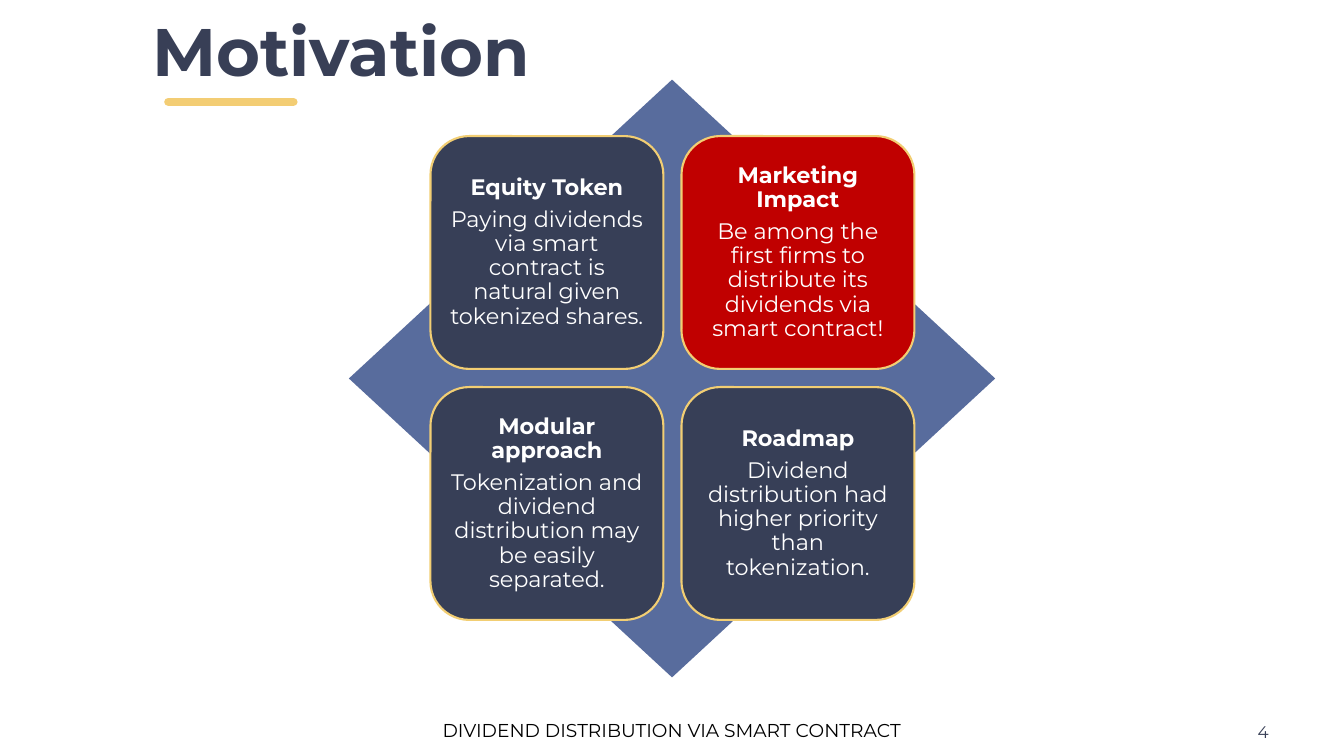
from lxml.etree import SubElement
from pptx import Presentation
from pptx.dml.color import RGBColor
from pptx.enum.shapes import MSO_CONNECTOR as Connector, MSO_SHAPE as Shape
from pptx.enum.text import MSO_ANCHOR as Anchor, MSO_AUTO_SIZE as AutoSize, PP_ALIGN as Align
from pptx.oxml.ns import qn
from pptx.util import Inches, Pt

NAVY = RGBColor(0x37, 0x3F, 0x57)
INK = RGBColor(0x38, 0x3F, 0x56)
BLUE = RGBColor(0x58, 0x6C, 0x9D)
RED = RGBColor(0xC0, 0x00, 0x00)
GOLD = RGBColor(0xF2, 0xCE, 0x73)
SAND = RGBColor(0xF3, 0xCD, 0x74)
WHITE = RGBColor(0xFF, 0xFF, 0xFF)
BLACK = RGBColor(0x00, 0x00, 0x00)

CARDS = [
    ("Equity Token", "Paying dividends via smart contract is natural given tokenized shares.", NAVY),
    ("Marketing Impact", "Be among the first firms to distribute its dividends via smart contract!", RED),
    ("Modular approach", "Tokenization and dividend distribution may be easily separated.", NAVY),
    ("Roadmap", "Dividend distribution had higher priority than tokenization.", NAVY),
]
CARD_LEFT, CARD_TOP = 32.03, 18
CARD_WIDTH, CARD_HEIGHT = 17.33, 30.8
COLUMN_STEP, ROW_STEP = 18.68, 33.2


def apply(target, values):
    for name, value in values.items():
        setattr(target, name, value)


class SlideBuilder:
    """Draws on one slide; every length is a percentage of the slide's size."""

    font_name = "Montserrat"

    def __init__(self, presentation):
        self.width = presentation.slide_width
        self.height = presentation.slide_height
        self.slide = presentation.slides.add_slide(presentation.slide_layouts[5])

    def box(self, left, top, width, height):
        return (int(self.width * left / 100), int(self.height * top / 100),
                int(self.width * width / 100), int(self.height * height / 100))

    def fill_text(self, shape, lines, frame=None, paragraph=None):
        """Fill a shape with (text, font values) lines sharing frame and paragraph values."""
        text_frame = shape.text_frame
        apply(text_frame, {"word_wrap": True, "auto_size": AutoSize.NONE,
                           "vertical_anchor": Anchor.MIDDLE, **(frame or {})})
        for index, (text, font) in enumerate(lines):
            item = text_frame.add_paragraph() if index else text_frame.paragraphs[0]
            apply(item, paragraph or {})
            run = item.add_run()
            run.text = text
            run.font.color.rgb = font["color"]
            apply(run.font, {"name": self.font_name, "size": Pt(font["size"]),
                             "bold": font.get("bold", False)})

    def title(self, box, text, **font):
        shape = self.slide.shapes.title
        apply(shape, dict(zip(("left", "top", "width", "height"), self.box(*box))))
        self.fill_text(shape, [(text, font)],
                       paragraph={"alignment": Align.LEFT, "line_spacing": 0.9})

    def rule(self, left, right, top, color, weight):
        """Horizontal line with round ends."""
        x1, y, x2, _ = self.box(left, top, right, 0)
        connector = self.slide.shapes.add_connector(Connector.STRAIGHT, x1, y, x2, y)
        connector.line.color.rgb = color
        connector.line.width = Pt(weight)
        connector.line._get_or_add_ln().set("cap", "rnd")
        SubElement(connector._element.spPr, qn("a:effectLst"))

    def shape(self, kind, box, fill, line=None):
        shape = self.slide.shapes.add_shape(kind, *self.box(*box))
        shape.shadow.inherit = False
        shape.fill.solid()
        shape.fill.fore_color.rgb = fill
        if line is None:
            shape.line.fill.background()
        else:
            shape.line.color.rgb = line
            shape.line.width = Pt(1.5)
        return shape

    def card(self, box, heading, body, fill):
        font = {"size": 16, "color": WHITE}
        margins = ("margin_left", "margin_top", "margin_right", "margin_bottom")
        self.fill_text(self.shape(Shape.ROUNDED_RECTANGLE, box, fill, GOLD),
                       [(heading, {**font, "bold": True}), (body, font)],
                       dict.fromkeys(margins, Inches(0.07)),
                       {"alignment": Align.CENTER, "line_spacing": 0.9, "space_after": Pt(5.6)})

    def text(self, box, text, font, frame=None, **paragraph):
        shape = self.slide.shapes.add_textbox(*self.box(*box))
        self.fill_text(shape, [(text, font)], frame, paragraph)


def main():
    presentation = Presentation()
    presentation.slide_width, presentation.slide_height = Inches(13.33), Inches(7.5)
    builder = SlideBuilder(presentation)

    builder.rule(12.53, 21.83, 13.47, SAND, 6)
    builder.title((10.58, 3.2, 84.25, 8.13), "Motivation", size=48, color=INK, bold=True)
    builder.shape(Shape.DIAMOND, (25.96, 10.53, 48.09, 79.07), BLUE)
    for index, card in enumerate(CARDS):
        row, column = divmod(index, 2)
        builder.card((CARD_LEFT + column * COLUMN_STEP, CARD_TOP + row * ROW_STEP,
                      CARD_WIDTH, CARD_HEIGHT), *card)

    flush = {"margin_left": 0, "margin_top": 0, "margin_right": 0, "margin_bottom": 0,
             "vertical_anchor": Anchor.TOP}
    builder.text((32.18, 94.53, 35.63, 3.33), "DIVIDEND DISTRIBUTION VIA SMART CONTRACT",
                 {"size": 13.3, "color": BLACK}, flush,
                 alignment=Align.CENTER, line_spacing=Pt(18.7))
    builder.text((72.62, 94.13, 22.51, 5.33), "4", {"size": 12, "color": INK},
                 alignment=Align.RIGHT)
    presentation.save("out.pptx")


if __name__ == "__main__":
    main()
